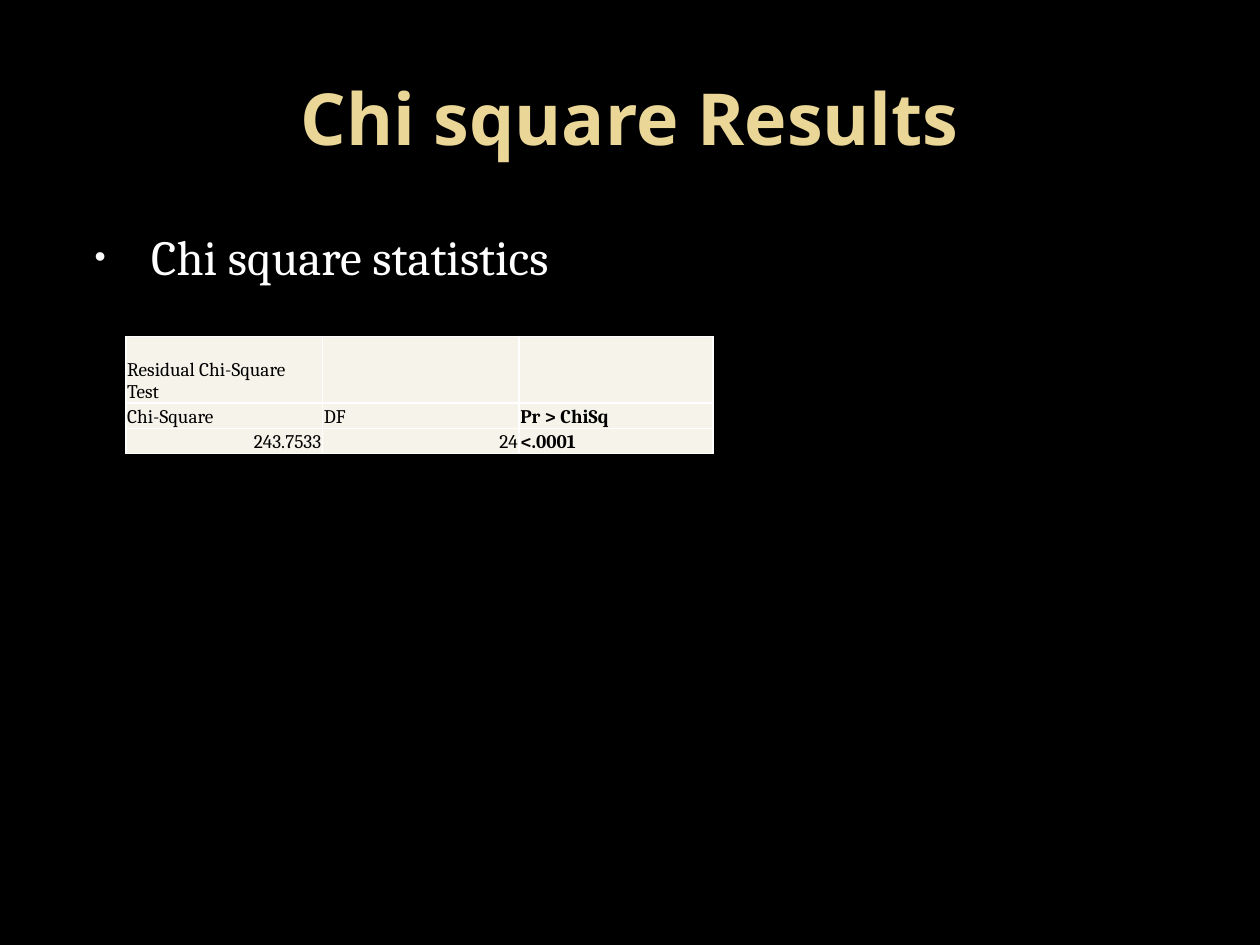
"""Build the chi-square results slide."""
from dataclasses import dataclass

from lxml.etree import SubElement, fromstring
from pptx import Presentation
from pptx.dml.color import RGBColor as Rgb
from pptx.enum.text import MSO_ANCHOR as Anchor, PP_ALIGN as Align
from pptx.oxml.ns import nsdecls, qn
from pptx.util import Emu, Inches, Pt


@dataclass(frozen=True)
class Theme:
    """Colours, fonts and type sizes of the slide."""
    backdrop: str = "000000"
    heading: str = "EAD696"
    body: str = "FFFFFF"
    bullet: str = "F9F9F9"
    cell_text: str = "000000"
    cell_fill: str = "F6F3EA"
    border: str = "FFFFFF"
    heading_font: str = "Open Sans"
    body_font: str = "Cambria"
    heading_size: int = 41
    body_size: int = 28
    cell_size: int = 11


@dataclass(frozen=True)
class Entry:
    """One table cell."""
    text: str = ""
    bold: bool = False
    align: Align = Align.LEFT


THEME = Theme()
COLUMNS = (1.56, 1.56, 1.54)
ROWS = (0.53, 0.2, 0.2)
RESULTS = (
    (Entry("Residual Chi-Square Test"), Entry(), Entry()),
    (Entry("Chi-Square"), Entry("DF"), Entry("Pr\u00a0>\u00a0ChiSq", bold=True)),
    (Entry("243.7533", align=Align.RIGHT), Entry("24", align=Align.RIGHT),
     Entry("<.0001", bold=True)),
)


def place(holder, left: float, top: float, width: float, height: float) -> None:
    """Move a placeholder to a position in inches."""
    holder.left, holder.top = Inches(left), Inches(top)
    holder.width, holder.height = Inches(width), Inches(height)


def style(paragraph, font: str, size: int, color: str, bold: bool = False) -> None:
    """Format every run of a paragraph."""
    for run in paragraph.runs:
        run.font.name, run.font.size, run.font.bold = font, Pt(size), bold
        run.font.color.rgb = Rgb.from_string(color)


def add_bullet(paragraph, indent: float, hanging: float) -> None:
    """Give a paragraph a small coloured bullet."""
    props = paragraph._p.get_or_add_pPr()
    props.set("marL", str(Inches(indent)))
    props.set("indent", str(-Inches(hanging)))
    color = SubElement(props, qn("a:buClr"))
    SubElement(color, qn("a:srgbClr"), val=THEME.bullet)
    SubElement(props, qn("a:buSzPct"), val="65000")
    SubElement(props, qn("a:buChar"), char="\u2022")


def fill_cell(cell, entry: Entry) -> None:
    """Write one entry and draw its fill and borders."""
    cell.vertical_anchor = Anchor.BOTTOM
    cell.margin_left = cell.margin_right = cell.margin_top = Inches(0.01)
    cell.margin_bottom = Emu(0)
    cell.text_frame.text = entry.text
    paragraph = cell.text_frame.paragraphs[0]
    paragraph.alignment = entry.align
    style(paragraph, THEME.body_font, THEME.cell_size, THEME.cell_text, entry.bold)
    cell.fill.solid()
    cell.fill.fore_color.rgb = Rgb.from_string(THEME.cell_fill)
    props = cell._tc.get_or_add_tcPr()
    for index, side in enumerate("LRTB"):
        props.insert(index, fromstring(
            f'<a:ln{side} {nsdecls("a")} w="{Pt(1)}"><a:solidFill>'
            f'<a:srgbClr val="{THEME.border}"/></a:solidFill></a:ln{side}>'))


def add_results(slide, left: float, top: float) -> None:
    """Draw the chi-square test table."""
    table = slide.shapes.add_table(
        len(ROWS), len(COLUMNS), Inches(left), Inches(top),
        Inches(sum(COLUMNS)), Inches(sum(ROWS))).table
    table.first_row = table.horz_banding = False
    for column, width in zip(table.columns, COLUMNS):
        column.width = Inches(width)
    for row, height, entries in zip(table.rows, ROWS, RESULTS):
        row.height = Inches(height)
        for cell, entry in zip(row.cells, entries):
            fill_cell(cell, entry)


def build() -> None:
    """Assemble and save the presentation."""
    deck = Presentation()
    deck.slide_width, deck.slide_height = Inches(10), Inches(7.5)
    slide = deck.slides.add_slide(deck.slide_layouts[1])
    slide.background.fill.solid()
    slide.background.fill.fore_color.rgb = Rgb.from_string(THEME.backdrop)

    title, body = slide.placeholders
    place(title, 0.5, 0.3, 9, 1.25)
    title.text_frame.text = "Chi square Results"
    title.text_frame.vertical_anchor = Anchor.MIDDLE
    heading = title.text_frame.paragraphs[0]
    heading.alignment = Align.CENTER
    style(heading, THEME.heading_font, THEME.heading_size, THEME.heading, bold=True)

    place(body, 0.5, 1.75, 9, 5.15)
    body.text_frame.text = "Chi square statistics"
    point = body.text_frame.paragraphs[0]
    style(point, THEME.body_font, THEME.body_size, THEME.body)
    add_bullet(point, indent=0.6, hanging=0.45)

    add_results(slide, left=1, top=2.67)
    deck.save("out.pptx")


build()
